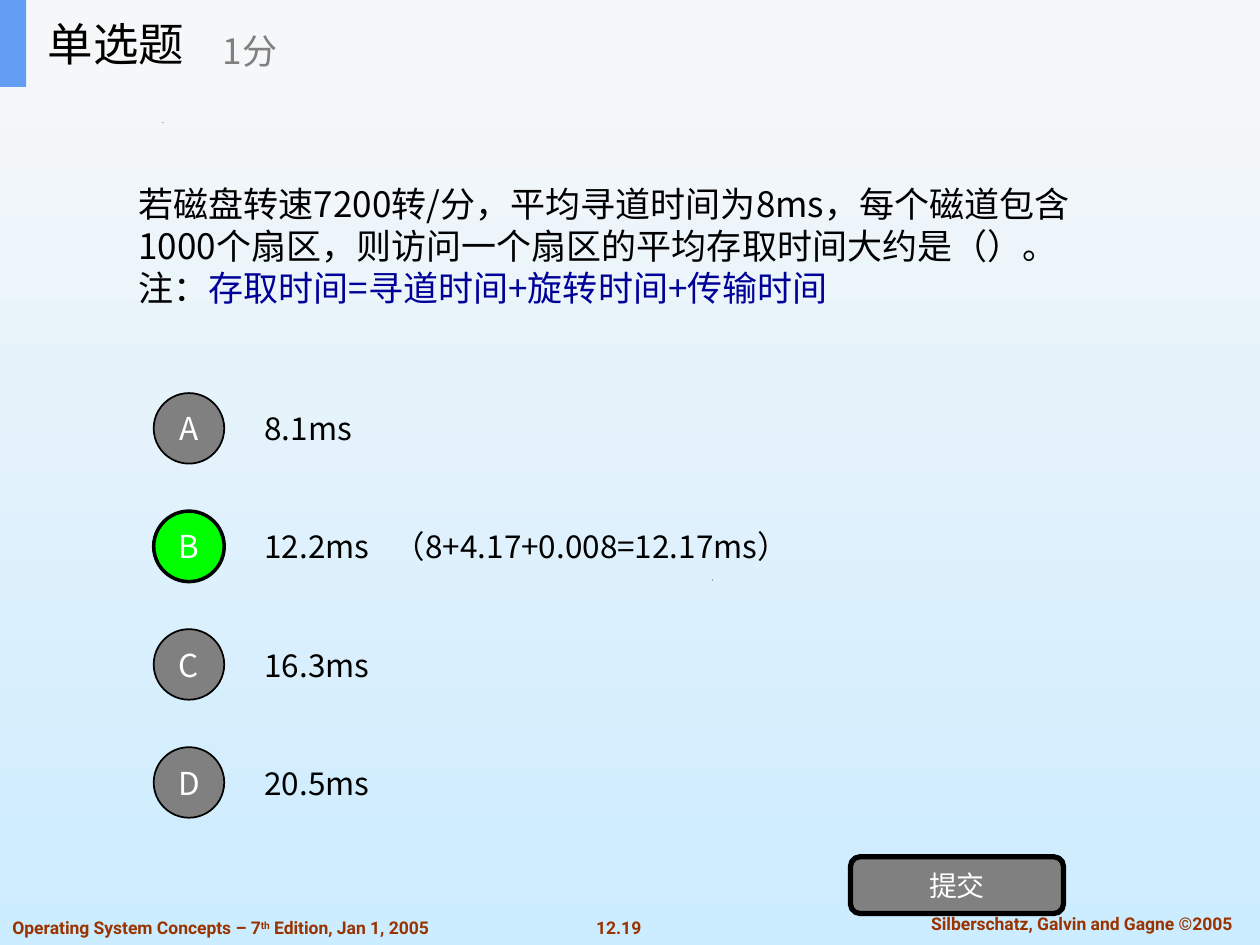
import pptx
import pptx.util
import pptx.dml.color
import pptx.enum.shapes
import pptx.enum.text
import pptx.oxml.ns
import lxml.etree

Pt = pptx.util.Pt
ALIGN = pptx.enum.text.PP_ALIGN
ANCHOR = pptx.enum.text.MSO_ANCHOR
SHAPE = pptx.enum.shapes.MSO_SHAPE

# Content
HEADING = "单选题"
SCORE = "1分"
QUESTION = "若磁盘转速7200转/分，平均寻道时间为8ms，每个磁道包含1000个扇区，则访问一个扇区的平均存取时间大约是（）。"
NOTE = [("注：", "black"), ("存取时间=寻道时间+旋转时间+传输时间", "blue")]
OPTIONS = [
    ("A", "8.1ms"),
    ("B", "12.2ms\t（8+4.17+0.008=12.17ms）"),
    ("C", "16.3ms"),
    ("D", "20.5ms"),
]
ANSWER = "B"
SUBMIT = "提交"
EDITION = ["Operating System Concepts – 7", "th", " Edition, Jan 1, 2005"]
PAGE = "12.19"
COPYRIGHT = "Silberschatz, Galvin and Gagne ©2005"

COLORS = {
    "black": "000000", "white": "FFFFFF", "gray": "808080", "green": "00FF00",
    "blue": "000099", "brown": "993300", "banner": "F6F7F8", "accent": "639EF4",
    "sky_top": "F8F8F8", "sky_bottom": "CCECFF",
}
BODY_FONT, FOOTER_FONT = "Noto Sans CJK SC", "Roboto"

# Layout in points
BANNER_HEIGHT = 49.7
FIRST_CENTER, ROW_STEP = 244.8, 67.45
CIRCLE_LEFT, CIRCLE_SIZE = 87.84, 40.32
OPTION_LEFT, OPTION_WIDTH, OPTION_HEIGHT = 144, 356, 50.4
WORKING_TAB = 74
SPECKS = [(92.9, 69.8), (406.9, 331.2)]


def rgb(name):
    return pptx.dml.color.RGBColor.from_string(COLORS[name])


def style(paragraph, size, color, font=BODY_FONT, bold=False, align=ALIGN.LEFT):
    paragraph.alignment = align
    paragraph.font.size = Pt(size)
    paragraph.font.bold = bold
    paragraph.font.color.rgb = rgb(color)
    paragraph.font.name = font
    east_asian = lxml.etree.SubElement(paragraph.font._element, pptx.oxml.ns.qn("a:ea"))
    east_asian.set("typeface", font)


def place(shape, box):
    shape.left, shape.top, shape.width, shape.height = map(Pt, box)


def add_text(box, text, size, color, anchor=ANCHOR.MIDDLE, wrap=True, **look):
    frame = slide.shapes.add_textbox(*map(Pt, box)).text_frame
    frame.word_wrap = wrap
    frame.vertical_anchor = anchor
    paragraph = frame.paragraphs[0]
    for part in [text] if isinstance(text, str) else text:
        paragraph.add_run().text = part
    if "\t" in text:
        tabs = lxml.etree.SubElement(paragraph._p.get_or_add_pPr(), pptx.oxml.ns.qn("a:tabLst"))
        lxml.etree.SubElement(tabs, pptx.oxml.ns.qn("a:tab"), pos=str(Pt(WORKING_TAB)), algn="l")
    style(paragraph, size, color, **look)
    return frame


def add_block(kind, box, fill, line=0, text="", size=18):
    block = slide.shapes.add_shape(kind, *map(Pt, box))
    block.shadow.inherit = False
    block.fill.solid()
    block.fill.fore_color.rgb = rgb(fill)
    if line:
        block.line.color.rgb = rgb("black")
        block.line.width = Pt(line)
    else:
        block.line.fill.background()
    if text:
        block.text_frame.text = text
        block.text_frame.word_wrap = False
        block.text_frame.vertical_anchor = ANCHOR.MIDDLE
        style(block.text_frame.paragraphs[0], size, "white", align=ALIGN.CENTER)


deck = pptx.Presentation()
deck.slide_width, deck.slide_height = Pt(720), Pt(540)
slide = deck.slides.add_slide(deck.slide_layouts[5])

# Background
backdrop = slide.background.fill
backdrop.gradient()
backdrop.gradient_angle = 270
for stop, shade in zip(backdrop.gradient_stops, ("sky_top", "sky_bottom")):
    stop.color.rgb = rgb(shade)

# Specks
for x, y in SPECKS:
    outline = slide.shapes.build_freeform(Pt(x), Pt(y))
    outline.add_line_segments([(Pt(x + 0.5), Pt(y)), (Pt(x), Pt(y + 0.6))], close=True)
    speck = outline.convert_to_shape()
    speck.shadow.inherit = False
    speck.fill.solid()
    speck.fill.fore_color.rgb = rgb("black")
    speck.line.fill.background()

# Footer
footer = dict(size=10, color="brown", font=FOOTER_FONT, bold=True, anchor=ANCHOR.TOP)
add_text((333.4, 520.6, 40.3, 19.4), PAGE, wrap=False, align=ALIGN.CENTER, **footer)
add_text((511.2, 518.4, 213.8, 19.4), COPYRIGHT, align=ALIGN.CENTER, **footer)
edition = add_text((0, 520.6, 265.7, 19.4), EDITION, **footer)
edition.paragraphs[0].runs[1].font._element.set("baseline", "30000")

# Question and note
question = add_text((72, 88.6, 576, 103.7), QUESTION, 20, "black")
note = question.add_paragraph()
for words, color in NOTE:
    run = note.add_run()
    run.text = words
    run.font.color.rgb = rgb(color)
style(note, 20, "black")

# Options
for row, (letter, answer) in enumerate(OPTIONS):
    center = FIRST_CENTER + row * ROW_STEP
    correct = letter == ANSWER
    add_text((OPTION_LEFT, center - OPTION_HEIGHT / 2, OPTION_WIDTH, OPTION_HEIGHT),
             answer, 18, "black")
    add_block(SHAPE.OVAL, (CIRCLE_LEFT, center - CIRCLE_SIZE / 2, CIRCLE_SIZE, CIRCLE_SIZE),
              "green" if correct else "gray", 2 if correct else 1, letter)

# Submit button
add_block(SHAPE.ROUNDED_RECTANGLE, (486, 489.6, 121.7, 32.4), "gray", 3, SUBMIT, 16)

# Banner with heading and score
add_block(SHAPE.RECTANGLE, (0, 0, 720, BANNER_HEIGHT), "banner")
add_block(SHAPE.RECTANGLE, (0, 0, 15, BANNER_HEIGHT), "accent")
heading = slide.shapes.title
place(heading, (20.2, 0, 149.8, BANNER_HEIGHT))
heading.text_frame.text = HEADING
heading.text_frame.auto_size = pptx.enum.text.MSO_AUTO_SIZE.NONE
heading.text_frame.vertical_anchor = ANCHOR.MIDDLE
style(heading.text_frame.paragraphs[0], 26, "black")
slide.shapes._spTree.append(heading._element)  # bring above the banner
add_text((120.2, 8.6, 180, 40.3), SCORE, 20, "gray")

deck.save("out.pptx")
